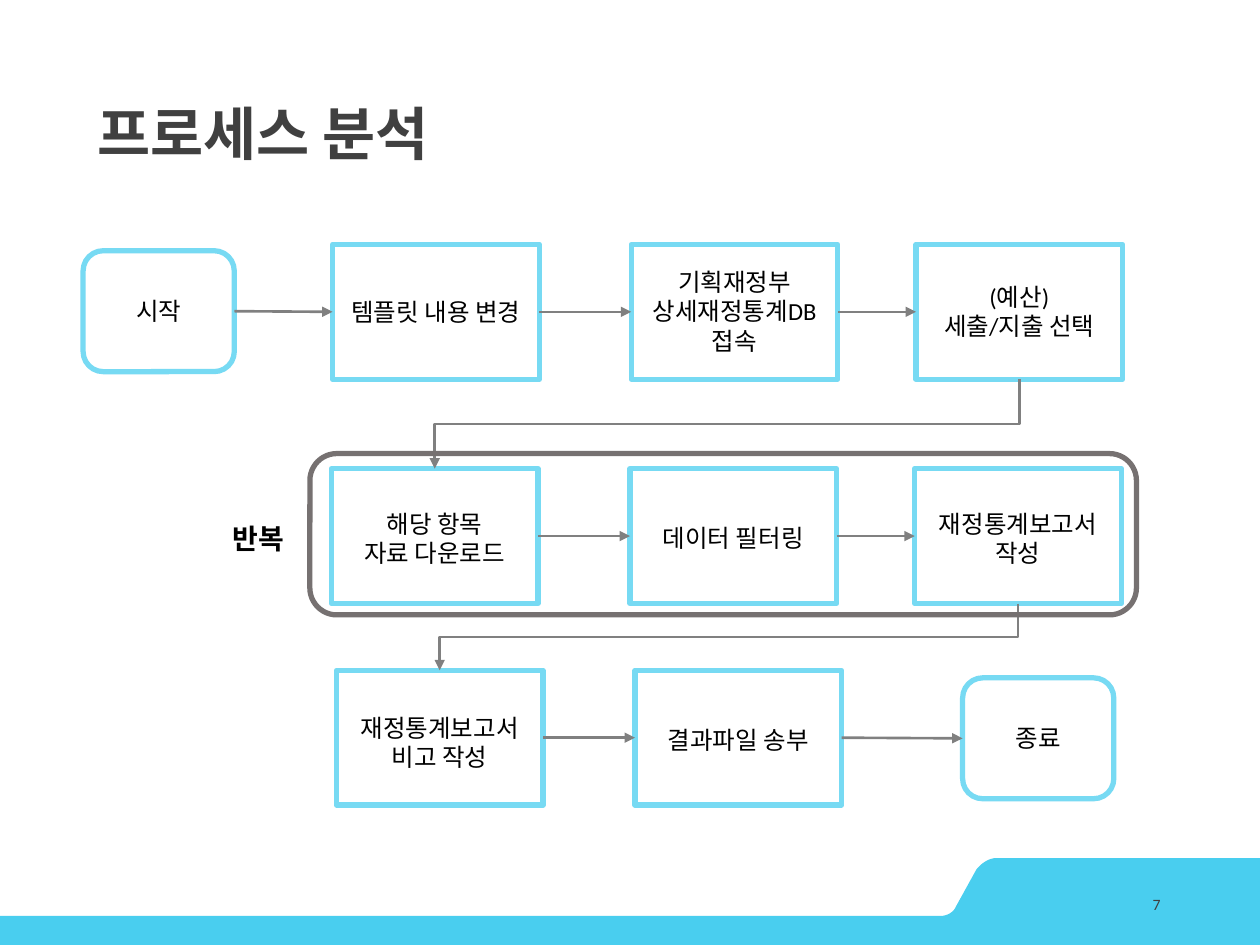
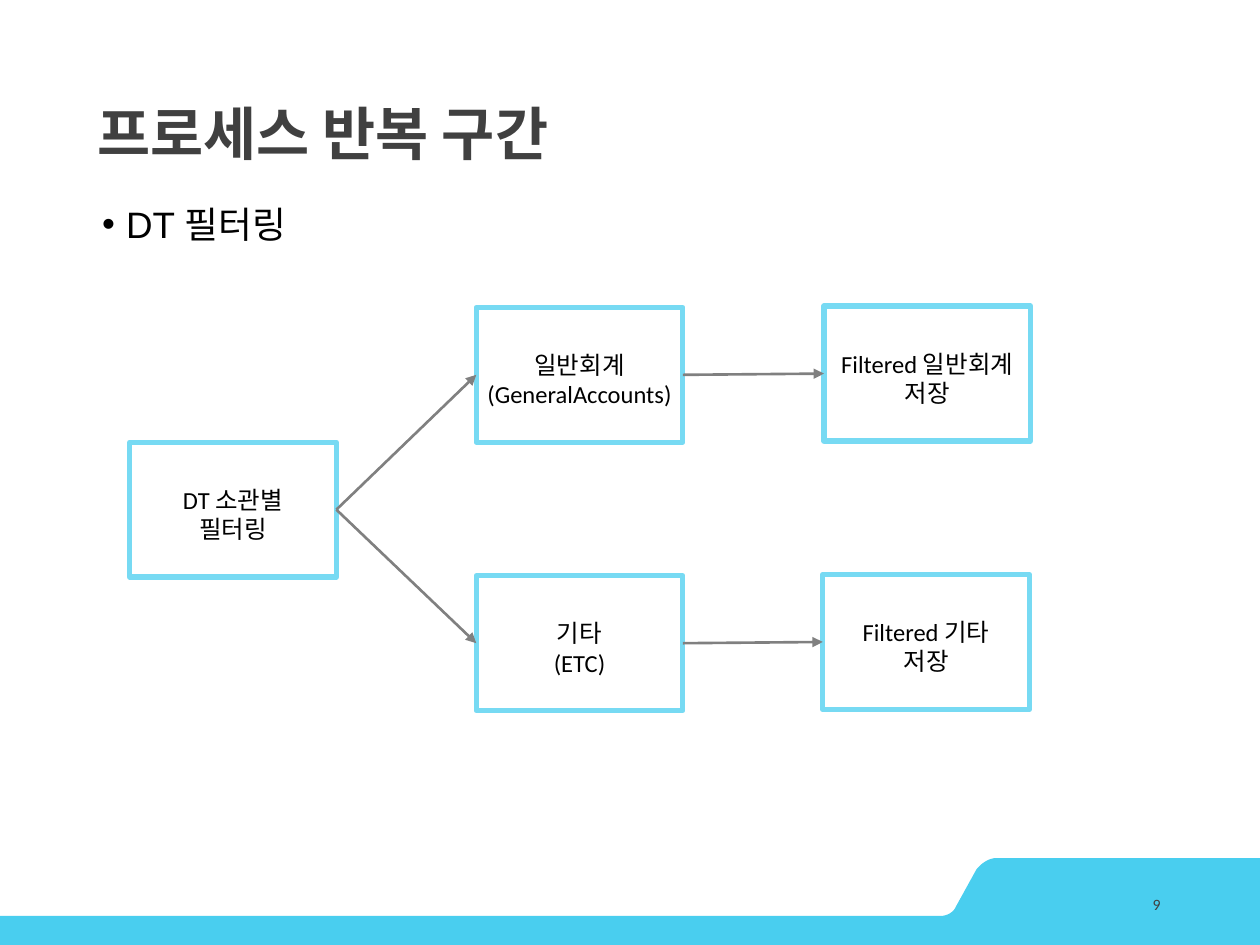
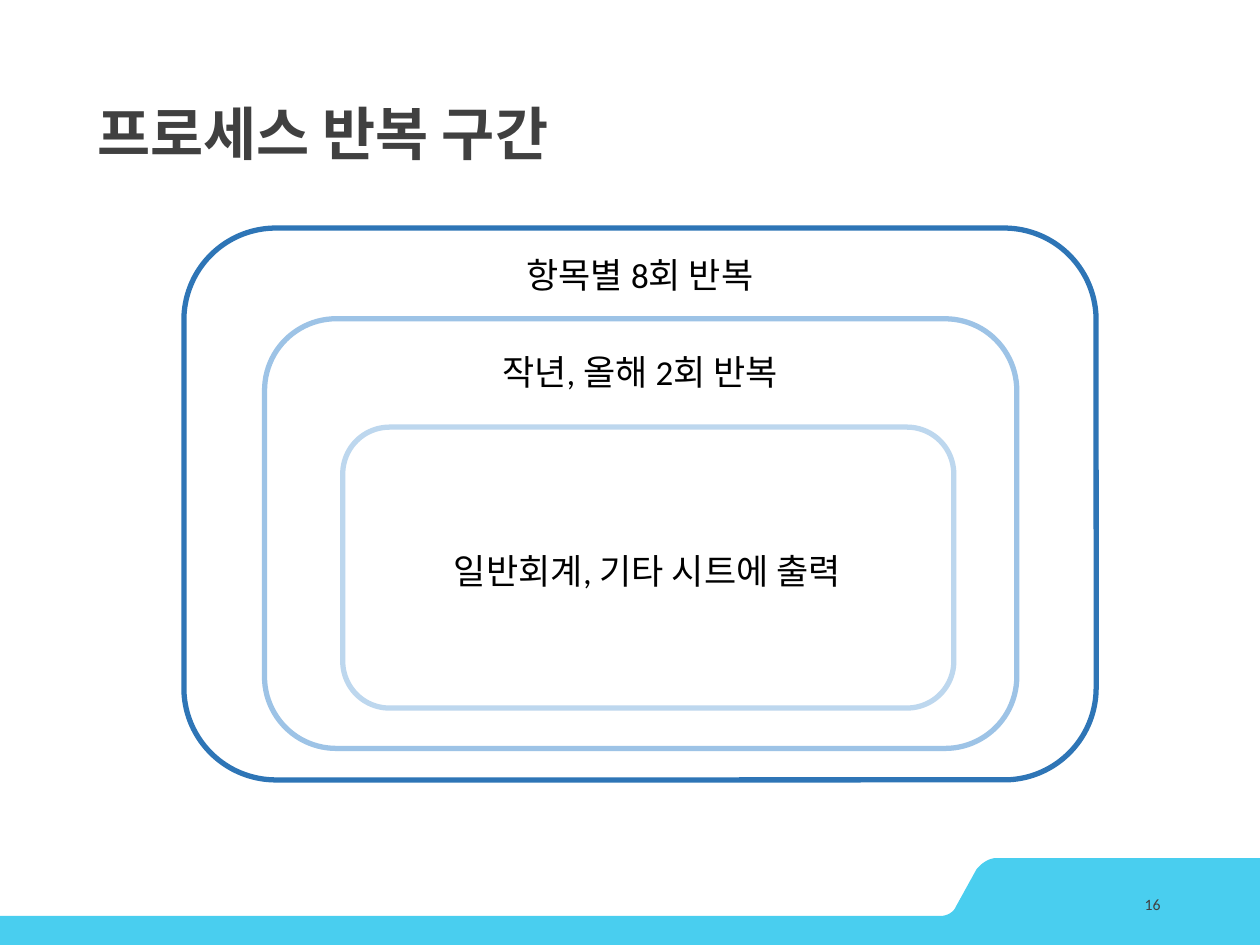
import pptx
import pptx.util
from lxml import etree
from pptx.dml.color import RGBColor
from pptx.enum.shapes import MSO_CONNECTOR, MSO_SHAPE
from pptx.enum.text import MSO_ANCHOR, MSO_AUTO_SIZE, PP_ALIGN
from pptx.oxml.ns import qn
from pptx.util import Inches

BAND, STEP, ARROW, FRAME = "49CEEF", "77DAF3", "808080", "767171"
INK, TEXT = "404040", "000000"
FONT = "Calibri"
ROUND, RECT = MSO_SHAPE.ROUNDED_RECTANGLE, MSO_SHAPE.RECTANGLE
STEP_SIZES = {ROUND: (1.2, 0.96), RECT: (1.64, 1.07)}
STRAIGHT, ELBOW = MSO_CONNECTOR.STRAIGHT, MSO_CONNECTOR.ELBOW


def add_outline(slide, geometry, left, top, width, height, color):
    outline = slide.shapes.add_shape(
        geometry, Inches(left), Inches(top), Inches(width), Inches(height))
    outline.shadow.inherit = False
    outline.fill.background()
    outline.line.color.rgb = RGBColor.from_string(color)
    outline.line.width = pptx.util.Pt(3)
    return outline


def add_label(slide, text, left, top, width, height, size,
              color=TEXT, bold=False, align=PP_ALIGN.CENTER):
    label = slide.shapes.add_textbox(
        Inches(left), Inches(top), Inches(width), Inches(height))
    frame = label.text_frame
    frame.word_wrap = True
    frame.text = text
    for paragraph in frame.paragraphs:
        paragraph.alignment = align
        for run in paragraph.runs:
            run.font.name = FONT
            run.font.size = pptx.util.Pt(size)
            run.font.bold = bold
            run.font.color.rgb = RGBColor.from_string(color)
    return frame


prs = pptx.Presentation()
prs.slide_width, prs.slide_height = Inches(10), Inches(7.5)

# Titles and page numbers
slides = []
for heading, page, layout in (("프로세스 분석", "7", 5),
                              ("프로세스 반복 구간", "9", 1),
                              ("프로세스 반복 구간", "16", 5)):
    slide = prs.slides.add_slide(prs.slide_layouts[layout])
    slides.append(slide)
    title = slide.shapes.title
    title.left, title.top = Inches(0.67), Inches(0.36)
    title.width, title.height = Inches(8.62), Inches(1.45)
    title.text_frame.text = heading
    title.text_frame.vertical_anchor = MSO_ANCHOR.MIDDLE
    paragraph = title.text_frame.paragraphs[0]
    paragraph.alignment = PP_ALIGN.LEFT
    paragraph.line_spacing = 0.9
    font = paragraph.runs[0].font
    font.name, font.size, font.bold = FONT, pptx.util.Pt(33), True
    font.color.rgb = RGBColor.from_string(INK)
    number = add_label(slide, page, 7.06, 6.98, 2.25, 0.4, 9, INK, align=PP_ALIGN.RIGHT)
    number.vertical_anchor = MSO_ANCHOR.MIDDLE
analysis, filtering, loops = slides

# Footer band: its two curves are sampled, then it moves to the slide master
curves = (((7.91, 6.81), (7.85, 6.81), (7.79, 6.85), (7.75, 6.9)),
          ((7.59, 7.19), (7.57, 7.24), (7.52, 7.27), (7.46, 7.27)))
edge = []
for controls in curves:
    for step in range(9):
        t = step / 8
        weights = ((1 - t) ** 3, 3 * t * (1 - t) ** 2, 3 * t ** 2 * (1 - t), t ** 3)
        edge.append([sum(w * point[axis] for w, point in zip(weights, controls))
                     for axis in (0, 1)])
edge += [(0, 7.27), (0, 7.5), (10, 7.5), (10, 6.81)]
corners = [(Inches(x), Inches(y)) for x, y in edge]
builder = analysis.shapes.build_freeform(*corners[0])
builder.add_line_segments(corners[1:], close=True)
band = builder.convert_to_shape()
band.shadow.inherit = False
band.fill.solid()
band.fill.fore_color.rgb = RGBColor.from_string(BAND)
band.line.fill.background()
prs.slide_master.shapes.element.insert(2, band.element)

# Flowcharts: steps are (geometry, left, top, text, label shift)
analysis_steps = (
    (ROUND, 0.66, 1.99, "시작", 0),
    (RECT, 2.64, 1.94, "템플릿 내용 변경", 0),
    (RECT, 5.01, 1.94, "기획재정부\n상세재정통계DB\n접속", 0),
    (RECT, 7.27, 1.94, "(예산)\n세출/지출 선택", 0),
    (RECT, 2.63, 3.72, "해당 항목\n자료 다운로드", 0.02),
    (RECT, 5, 3.72, "데이터 필터링", 0.02),
    (RECT, 7.26, 3.72, "재정통계보고서\n작성", 0.02),
    (RECT, 2.67, 5.32, "재정통계보고서\n비고 작성", 0.04),
    (RECT, 5.04, 5.32, "결과파일 송부", 0.02),
    (ROUND, 7.64, 5.38, "종료", 0),
)
analysis_links = [(i, i + 1, ELBOW if i in (3, 6) else STRAIGHT) for i in range(9)]
filtering_steps = (
    (RECT, 1.03, 3.51, "DT 소관별\n필터링", 0.04),
    (RECT, 3.78, 2.44, "일반회계\n(GeneralAccounts)", 0.04),
    (RECT, 3.78, 4.57, "기타\n(ETC)", 0.04),
    (RECT, 6.54, 2.43, "Filtered 일반회계\n저장", 0.04),
    (RECT, 6.53, 4.56, "Filtered 기타\n저장", 0.04),
)
filtering_links = [(a, b, STRAIGHT) for a, b in ((0, 1), (0, 2), (1, 3), (2, 4))]

for slide, steps, links in ((analysis, analysis_steps, analysis_links),
                            (filtering, filtering_steps, filtering_links)):
    boxes = []
    for geometry, left, top, text, shift in steps:
        width, height = STEP_SIZES[geometry]
        boxes.append(add_outline(slide, geometry, left, top, width, height, STEP))
        label_height = 0.34 + 0.235 * text.count("\n")
        label = add_label(slide, text, left - 0.08, top + (height - label_height) / 2 + shift,
                          width + 0.16, label_height, 14)
        label.auto_size = MSO_AUTO_SIZE.SHAPE_TO_FIT_TEXT
    for source, target, kind in links:
        arrow = slide.shapes.add_connector(kind, 0, 0, 0, 0)
        arrow.begin_connect(boxes[source], 2 if kind == ELBOW else 3)
        arrow.end_connect(boxes[target], 0 if kind == ELBOW else 1)
        properties = arrow.element.spPr
        if kind == ELBOW:
            # Turned a quarter so that it leaves downwards
            drop, run = arrow.end_y - arrow.begin_y, arrow.begin_x - arrow.end_x
            center_x = (arrow.begin_x + arrow.end_x) // 2
            center_y = (arrow.begin_y + arrow.end_y) // 2
            arrow.left, arrow.top = center_x - drop // 2, center_y - run // 2
            arrow.width, arrow.height = drop, run
            transform = properties.find(qn("a:xfrm"))
            transform.attrib.pop("flipH", None)
            transform.set("rot", "5400000")
        arrow.line.color.rgb = RGBColor.from_string(ARROW)
        arrow.line.width = pptx.util.Pt(1.5)
        etree.SubElement(properties.find(qn("a:ln")), qn("a:tailEnd"), type="triangle")
        etree.SubElement(properties, qn("a:effectLst"))

add_outline(analysis, ROUND, 2.46, 3.6, 6.56, 1.28, FRAME)
add_label(analysis, "반복", 1.61, 4.09, 0.88, 0.37, 16, bold=True)

# Topic of the filtering slide
topic = filtering.placeholders[1]
topic.left, topic.top = Inches(0.71), Inches(1.59)
topic.width, topic.height = Inches(5.84), Inches(0.63)
topic.text_frame.text = "DT 필터링"
paragraph = topic.text_frame.paragraphs[0]
paragraph.line_spacing = 0.9
paragraph.space_before = pptx.util.Pt(0)
indents = paragraph._p.get_or_add_pPr()
indents.set("marL", str(Inches(0.19)))
indents.set("indent", str(-Inches(0.19)))
etree.SubElement(indents, qn("a:buFont"), typeface="Arial")
etree.SubElement(indents, qn("a:buChar"), char="•")
font = paragraph.runs[0].font
font.name, font.size = "Arial", pptx.util.Pt(21)
font.color.rgb = RGBColor.from_string(TEXT)

# Nested loops, outermost first
for bounds, color, text, label_left, label_top in (
        ((1.46, 1.81, 7.24, 4.38), "2E75B6", "항목별 8회 반복", 1.46, 1.96),
        ((2.1, 2.53, 5.97, 3.41), "9DC3E6", "작년, 올해 2회 반복", 1.46, 2.73),
        ((2.72, 3.39, 4.85, 2.23), "BDD7EE", "일반회계, 기타 시트에 출력", 1.52, 4.31)):
    add_outline(loops, ROUND, *bounds, color)
    label = add_label(loops, text, label_left, label_top, 7.24, 0.44, 20)
    label.auto_size = MSO_AUTO_SIZE.SHAPE_TO_FIT_TEXT

prs.save("out.pptx")
